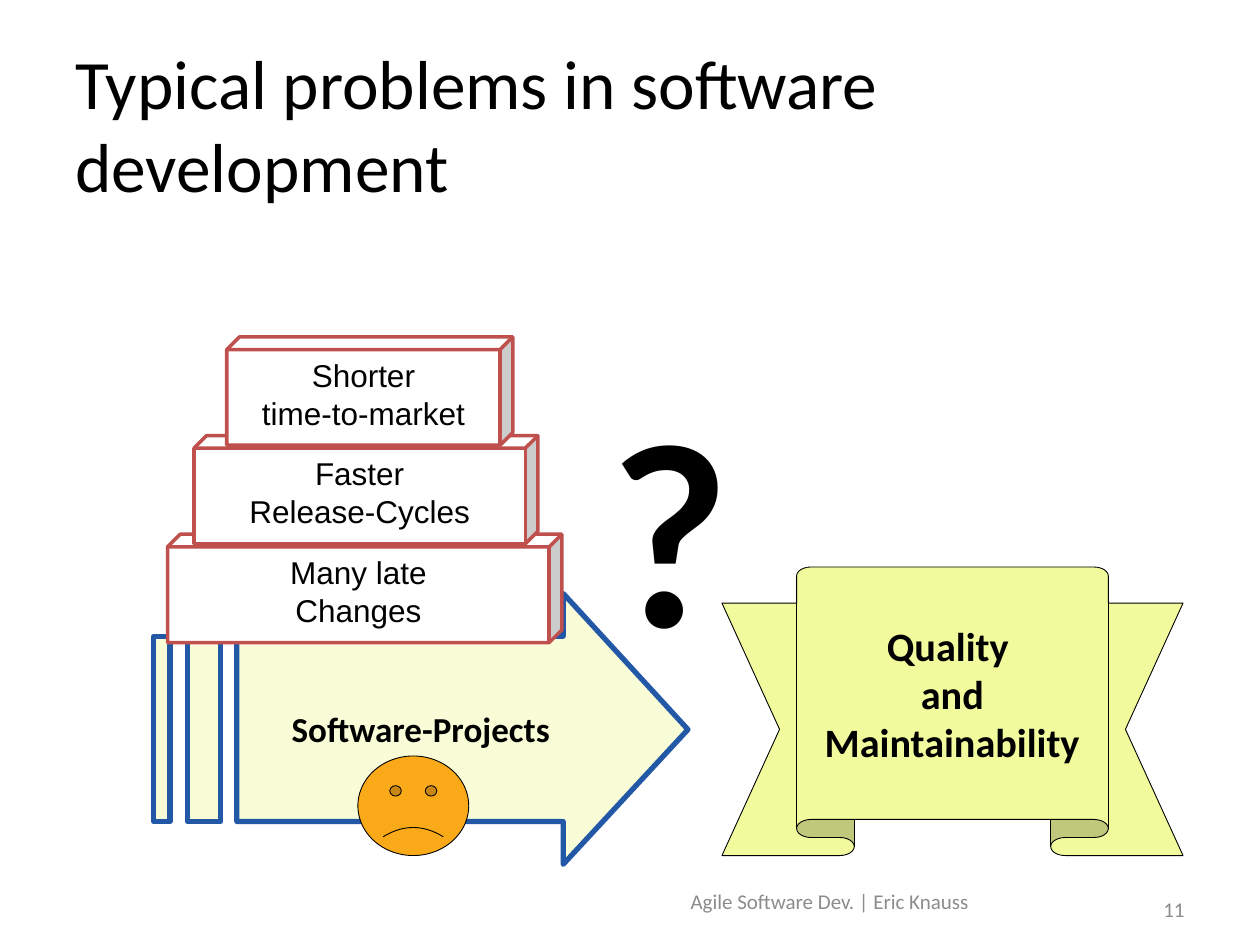
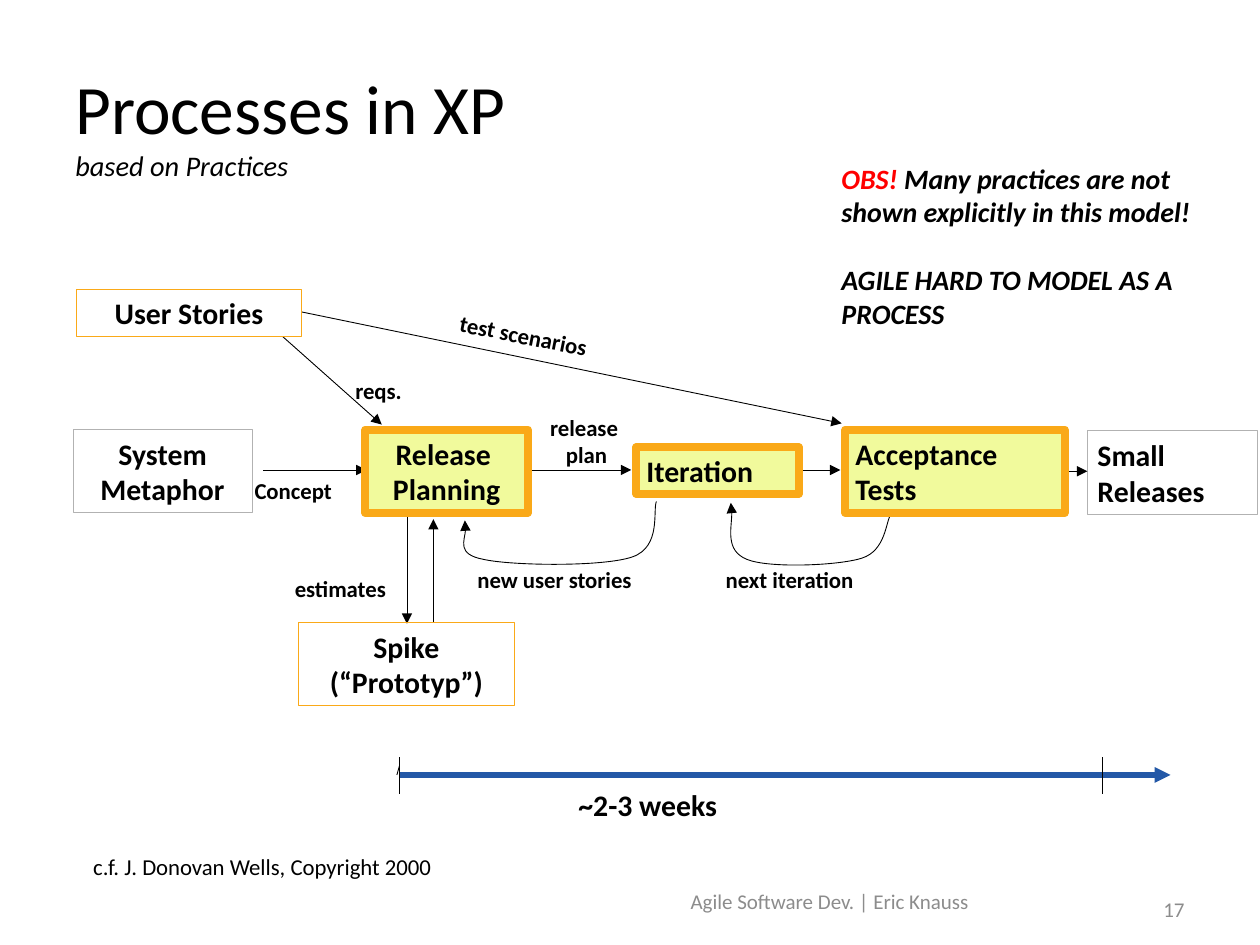
from lxml import etree
from pptx import Presentation
from pptx.dml.color import RGBColor
from pptx.enum.shapes import MSO_CONNECTOR, MSO_SHAPE
from pptx.enum.text import MSO_ANCHOR, MSO_AUTO_SIZE, PP_ALIGN
from pptx.oxml.ns import qn
from pptx.util import Inches, Pt

LEFT, CENTER, RIGHT = PP_ALIGN.LEFT, PP_ALIGN.CENTER, PP_ALIGN.RIGHT
TOP, MIDDLE = MSO_ANCHOR.TOP, MSO_ANCHOR.MIDDLE
GROW, FIXED = MSO_AUTO_SIZE.SHAPE_TO_FIT_TEXT, MSO_AUTO_SIZE.NONE
STRAIGHT = MSO_CONNECTOR.STRAIGHT
RECTANGLE, CUBE = MSO_SHAPE.RECTANGLE, MSO_SHAPE.CUBE
RIBBON, FACE = MSO_SHAPE.UP_RIBBON, MSO_SHAPE.SMILEY_FACE

COLORS = {
    "ink": "000000", "footer": "8C8C8C", "white": "FFFFFF", "red": "FF0000",
    "brick": "C0504D", "blue": "2358A7", "orange": "FAA918", "gray": "B2B2B2",
    "lime": "F1FA9C", "pale": "F9FDD7",
}
COLUMNS, ROWS = 100, 75
CELL = Inches(0.1)
TIGHT = (0.8, 0.4)
ROOMY = (1, 0.5)


def cells(*values):
    return [round(value * CELL) for value in values]


def color(name):
    return RGBColor.from_string(COLORS[name])


class Deck:
    def __init__(self):
        self.file = Presentation()
        self.file.slide_width, self.file.slide_height = cells(COLUMNS, ROWS)
        self.page = None

    def new_page(self, number, title, subtitle=None):
        self.page = self.file.slides.add_slide(self.file.slide_layouts[6])
        lines = [title, subtitle] if subtitle else [title]
        heading = self.text((5, 5.1, 90, 9.4), lines, 39.6, anchor=MIDDLE)
        if subtitle:
            font = heading.text_frame.paragraphs[1].font
            font.size, font.italic = Pt(16.2), True
        self.text((50, 69.5, 31.7, 4), ["Agile Software Dev. | Eric Knauss"], 12,
                  align=CENTER, anchor=MIDDLE, ink="footer")
        self.text((83.5, 70.9, 11.5, 2.5), [number], 12,
                  align=RIGHT, anchor=MIDDLE, ink="footer")

    def fill_text(self, box, lines, size, font="Calibri", bold=False, italic=False,
                  align=LEFT, anchor=TOP, ink="ink", inset=ROOMY, wrap=True,
                  grow=False, gap=0):
        frame = box.text_frame
        frame.margin_left = frame.margin_right = cells(inset[0])[0]
        frame.margin_top = frame.margin_bottom = cells(inset[1])[0]
        frame.word_wrap, frame.vertical_anchor = wrap, anchor
        frame.auto_size = GROW if grow else FIXED
        for index, line in enumerate(lines):
            para = frame.add_paragraph() if index else frame.paragraphs[0]
            para.alignment = align
            if index and gap:
                para.space_before = Pt(gap)
            para.font.name, para.font.size = font, Pt(size)
            para.font.bold, para.font.italic = bold, italic
            if isinstance(line, str):
                para.text = line
                para.font.color.rgb = color(ink)
                continue
            for words, shade in line:
                span = para.add_run()
                span.text = words
                span.font.color.rgb = color(shade)

    def text(self, place, lines, size, **style):
        box = self.page.shapes.add_textbox(*cells(*place))
        self.fill_text(box, lines, size, **style)
        return box

    def label(self, place, lines, size=13, turn=0, bold=True, **style):
        box = self.text(place, lines, size, bold=bold, anchor=MIDDLE,
                        inset=TIGHT, wrap=False, grow=True, **style)
        box.rotation = turn

    def paint(self, box, fill, line, width):
        box.shadow.inherit = False
        if fill:
            box.fill.solid()
            box.fill.fore_color.rgb = color(fill)
        else:
            box.fill.background()
        box.line.color.rgb = color(line)
        box.line.width = Pt(width)

    def shape(self, kind, place, fill, line, width, adjust=()):
        box = self.page.shapes.add_shape(kind, *cells(*place))
        for index, value in enumerate(adjust):
            box.adjustments[index] = value
        self.paint(box, fill, line, width)
        return box

    def step(self, place, lines, fill=None, line="orange", width=0.5, align=CENTER):
        box = self.shape(RECTANGLE, place, fill, line, width)
        self.fill_text(box, lines, 17, bold=True, align=align, anchor=MIDDLE,
                       inset=TIGHT, wrap=False, grow=True)

    def outline(self, contours, fill, line, width, close=True):
        first = contours[0]
        builder = self.page.shapes.build_freeform(*cells(*first[0]), scale=1.0)
        for contour in contours:
            if contour is not first:
                builder.move_to(*cells(*contour[0]))
            builder.add_line_segments([cells(*p) for p in contour[1:]], close=close)
        box = builder.convert_to_shape()
        self.paint(box, fill, line, width)
        return box

    def arrowhead(self, item):
        stroke = item.line._get_or_add_ln()
        etree.SubElement(stroke, qn("a:tailEnd"), type="triangle")

    def curve(self, points):
        box = self.outline([points], None, "ink", 0.5, close=False)
        segments = list(box._element.iter(qn("a:lnTo")))
        outline = segments[0].getparent()
        for start in range(0, len(segments), 3):
            bend = etree.SubElement(outline, qn("a:cubicBezTo"))
            for segment in segments[start:start + 3]:
                bend.append(segment[0])
                outline.remove(segment)
        self.arrowhead(box)

    def line(self, start, end, ink="ink", width=0.5, arrow=True):
        link = self.page.shapes.add_connector(STRAIGHT, *cells(*start, *end))
        link.line.color.rgb = color(ink)
        link.line.width = Pt(width)
        if arrow:
            self.arrowhead(link)
        etree.SubElement(link._element.spPr, qn("a:effectLst"))


def bar(left, right, top, bottom):
    return [(left, top), (left, bottom), (right, bottom), (right, top)]


def draw_problems(deck):
    deck.new_page("11", "Typical problems in software development")
    top, bottom, neck = 50.5, 65.2, 44.7
    arrow = [(neck, 47.1), (neck, top), (18.8, top), (18.8, bottom),
             (neck, bottom), (neck, 68.6), (54.6, 57.9)]
    stripes = [bar(14.9, 17.5, top, bottom), bar(12.2, 13.5, top, bottom)]
    projects = deck.outline([arrow] + stripes, "pale", "blue", 3)
    deck.fill_text(projects, ["Software-Projects"], 20, bold=True, align=CENTER,
                   anchor=MIDDLE, inset=TIGHT, wrap=False)

    goal = deck.shape(RIBBON, (57.3, 45, 36.6, 22.9), "lime", "ink", 0.5, (0.125, 0.676))
    deck.fill_text(goal, ["Quality ", "and", "Maintainability"], 23, bold=True,
                   align=CENTER, anchor=MIDDLE, inset=TIGHT, wrap=False)
    deck.label((47.9, 29.6, 13.8, 24.7), ["?"], 142, font="Lato")
    deck.shape(FACE, (28.4, 60, 8.8, 7.9), "orange", "ink", 0.5, (-0.047,))

    burdens = [
        (13.3, 31.3, ["Many late\nChanges"]),
        (15.4, 27.3, ["Faster", "Release-Cycles"]),
        (18, 22.7, ["Shorter", "time-to-market"]),
    ]
    for level, (left, width, lines) in enumerate(burdens):
        place = (left, 42.4 - 7.83 * level, width, 8.6)
        block = deck.shape(CUBE, place, "white", "brick", 2, (0.117,))
        deck.fill_text(block, lines, 18, font="Arial", align=CENTER)


def draw_process(deck):
    deck.new_page("17", "Processes in XP", "based on Practices")
    flow, row, tall, low = 37.3, 34.1, 6.6, 3.7

    deck.step((86.3, 34.2, 13.5, tall), ["Small", "Releases"], line="gray", align=LEFT)
    deck.line((82.3, 37.4), (86.3, 37.4))
    deck.curve([(70.7, 40.8), (70.3, 41.4), (70.3, 43.7), (68.4, 44.3),
                (66.5, 44.9), (61, 45.1), (59.3, 44.4),
                (57.5, 43.7), (58.3, 40.9), (58, 39.9)])
    deck.curve([(52.1, 39.8), (51.8, 40.5), (52.5, 43.4), (50.2, 44.2),
                (47.9, 45), (40.6, 44.9), (38.4, 44.4),
                (36.2, 44), (37.2, 42), (36.9, 41.3)])
    deck.line((20.9, flow), (29.1, flow))
    deck.step((67.1, row, 17.4, tall), ["Acceptance", "Tests"], "lime", width=4.5, align=LEFT)
    deck.line((61.8, flow), (66.7, flow))
    deck.line((22.2, 26.5), (30.3, 33.7))
    deck.line((22.2, 24.4), (66.8, 33.6))
    deck.step((50.5, 35.5, 12.9, low), ["Iteration"], "lime", width=4.5, align=LEFT)
    deck.line((41, flow), (50.1, flow))

    labels = [
        ((56.8, 44.5, 15.3, 3), "next iteration"),
        ((37.1, 44.5, 18.3, 3), "new user stories"),
        ((19.4, 37.4, 10.1, 3), "Concept"),
        ((27.4, 29.5, 6.7, 3), "reqs."),
        ((22.6, 45.2, 11.6, 3), "estimates"),
    ]
    for place, words in labels:
        deck.label(place, [words])
    deck.label((35.6, 25.5, 16, 3), ["test scenarios"], turn=11.2)
    deck.label((42, 32.4, 9.1, 5.2), ["release ", "plan"], align=CENTER)

    deck.line((31.7, 61.5), (92.9, 61.5), "blue", 3)
    deck.label((45.1, 62, 16.5, low), ["~2-3 weeks"], 17)
    deck.line((31.7, 60.8), (31.5, 61.5), arrow=False)
    for tick in (31.7, 87.5):
        deck.line((tick, 60.1), (tick, 63), arrow=False)
    deck.label((6.6, 67.3, 38.5, 3), ["c.f. J. Donovan Wells, Copyright 2000"], bold=False)

    warning = [("OBS! ", "red"),
               ("Many practices are not shown explicitly in this model!", "ink")]
    deck.text((65.8, 12.3, 34.2, 17.2), [warning, "AGILE HARD TO MODEL AS A PROCESS"],
              16, bold=True, italic=True, grow=True, gap=19.5)

    deck.line((32.3, 40.8), (32.3, 49.5))
    deck.line((34.4, 49.4), (34.4, 41.2))
    deck.step((23.7, 49.4, 17.1, tall), ["Spike", "(“Prototyp”)"])
    deck.step((29, row, 12.9, tall), ["Release ", "Planning"], "lime", width=4.5)
    deck.step((5.8, row, 14.2, tall), ["System", "Metaphor"], "white", "gray")
    deck.step((6.1, 23, 17.8, low), ["User Stories"], "white")


def main():
    deck = Deck()
    draw_problems(deck)
    draw_process(deck)
    deck.file.save("out.pptx")


if __name__ == "__main__":
    main()
